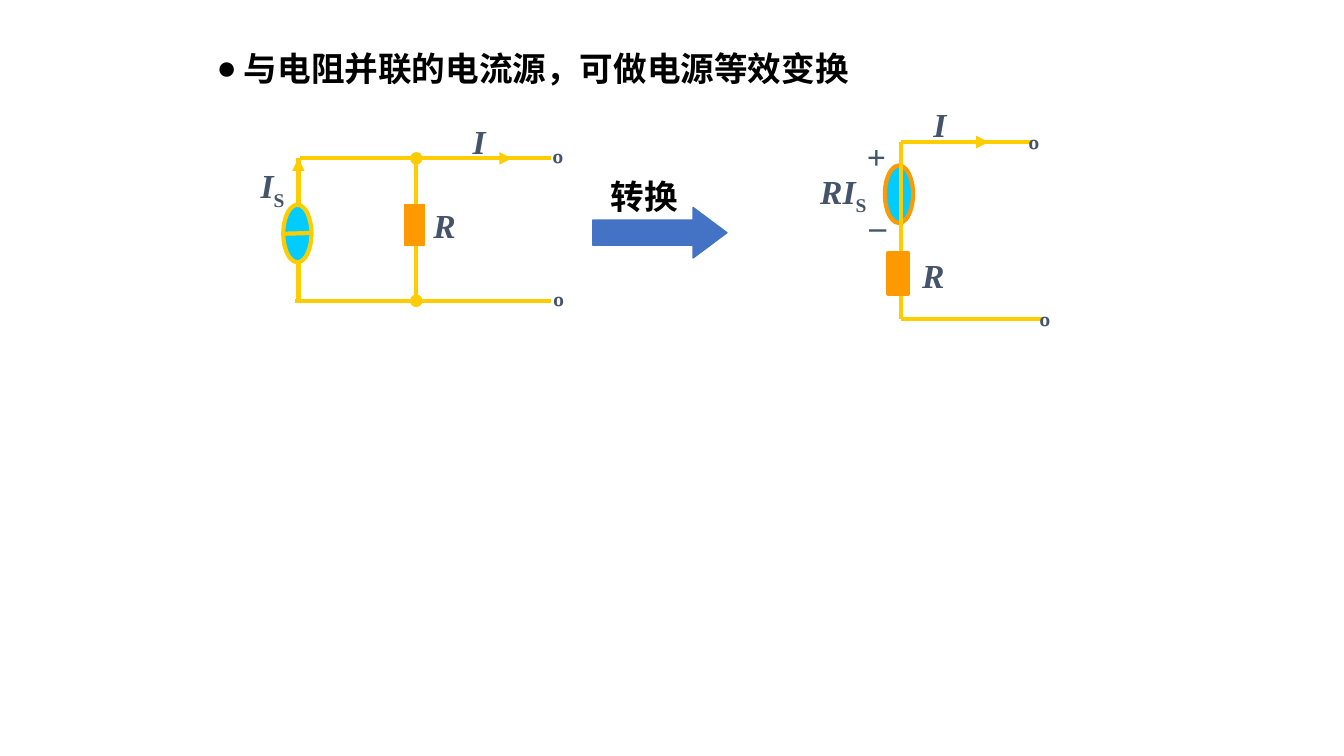
from dataclasses import dataclass

from lxml.etree import SubElement
from pptx import Presentation
from pptx.dml.color import RGBColor as RGB
from pptx.enum.shapes import MSO_CONNECTOR as Link, MSO_SHAPE as Preset
from pptx.enum.text import MSO_ANCHOR as Anchor, MSO_AUTO_SIZE as Fit, PP_ALIGN as Align
from pptx.oxml.ns import qn
from pptx.util import Cm, Pt


@dataclass(frozen=True)
class Theme:
    wire: RGB = RGB(0xFF, 0xCC, 0x00)
    source: RGB = RGB(0x00, 0xCC, 0xFF)
    resistor: RGB = RGB(0xFF, 0x99, 0x00)
    arrow: RGB = RGB(0x44, 0x72, 0xC4)
    symbol: RGB = RGB(0x44, 0x54, 0x6A)
    black: RGB = RGB(0x00, 0x00, 0x00)
    latin: str = "Times New Roman"
    chinese: str = "Noto Sans CJK SC"
    size: Pt = Pt(24)
    wire_width: Pt = Pt(3)
    thin_width: Pt = Pt(1)


theme = Theme()


def add_wire(circuit, x1, y1, x2, y2, head=None, tail=None):
    wire = circuit.shapes.add_connector(Link.STRAIGHT, Cm(x1), Cm(y1), Cm(x2), Cm(y2))
    wire.line.color.rgb = theme.wire
    wire.line.width = theme.wire_width
    for end, mark in (("a:headEnd", head), ("a:tailEnd", tail)):
        if mark:
            SubElement(wire.line._get_or_add_ln(), qn(end), type=mark)
    SubElement(wire._element.spPr, qn("a:effectLst"))


def add_part(circuit, preset, box, fill, outline, width):
    part = circuit.shapes.add_shape(preset, *map(Cm, box))
    part.shadow.inherit = False
    part.fill.solid()
    part.fill.fore_color.rgb = fill
    part.line.color.rgb = outline
    part.line.width = width
    return part


deck = Presentation()
deck.slide_width, deck.slide_height = Cm(33.87), Cm(19.05)
slide = deck.slides.add_slide(deck.slide_layouts[6])

heading = slide.shapes.add_textbox(Cm(5.21), Cm(1.09), Cm(16.89), Cm(1.27)).text_frame
heading.word_wrap = True
heading.auto_size = Fit.SHAPE_TO_FIT_TEXT
statement = heading.paragraphs[0]
statement.text = "与电阻并联的电流源，可做电源等效变换"
statement.font.size = theme.size
bullet_format = statement._p.get_or_add_pPr()
bullet_format.set("marL", str(Cm(0.69)))
bullet_format.set("indent", str(Cm(-0.69)))
bullet_font = SubElement(bullet_format, qn("a:buFont"), typeface=theme.latin)
bullet = SubElement(bullet_format, qn("a:buChar"), char="●")
bullet_format.insert(0, bullet_font)
bullet_format.insert(1, bullet)
statement_run = statement.runs[0]
statement_run.font.size = theme.size
statement_run.font.bold = True
statement_run.font.name = theme.chinese
statement_run.font.color.rgb = theme.black
SubElement(statement_run._r.get_or_add_rPr(), qn("a:ea"), typeface=theme.chinese)

parallel = slide.shapes.add_group_shape()
top, bottom, source_x, branch_x, terminal_x = 3.99, 7.58, 7.52, 10.49, 13.89
add_wire(parallel, 7.57, top, terminal_x, top)
add_wire(parallel, 7.44, bottom, terminal_x, bottom)
add_wire(parallel, source_x, top, source_x, bottom)
add_part(parallel, Preset.OVAL, (7.14, 5.16, 0.71, 1.45),
         theme.source, theme.wire, theme.wire_width)
add_wire(parallel, 7.14, 5.89, 7.87, 5.87)
add_wire(parallel, source_x, 5.03, source_x, top, tail="triangle")
add_wire(parallel, branch_x, bottom, branch_x, top, head="oval", tail="oval")
add_part(parallel, Preset.RECTANGLE, (10.19, 5.16, 0.51, 1.02),
         theme.resistor, theme.resistor, theme.thin_width)
add_wire(parallel, 10.44, top, 12.9, top, tail="triangle")

conversion = slide.shapes.add_group_shape()
conversion_arrow = add_part(conversion, Preset.RIGHT_ARROW, (14.94, 5.23, 3.38, 1.27),
                            theme.arrow, theme.arrow, theme.thin_width)
conversion_arrow.adjustments[0] = 0.5
conversion_arrow.adjustments[1] = 0.67

series = slide.shapes.add_group_shape()
top, bottom, branch_x = 3.58, 8.03, 22.71
add_part(series, Preset.OVAL, (22.3, 4.17, 0.71, 1.45),
         theme.source, theme.resistor, theme.wire_width)
add_wire(series, branch_x, top, branch_x, bottom)
add_wire(series, branch_x, top, 26.01, top)
add_wire(series, branch_x, bottom, 26.29, bottom)
add_wire(series, branch_x, top, 24.92, top, tail="triangle")
add_part(series, Preset.RECTANGLE, (22.38, 6.38, 0.51, 1.02),
         theme.resistor, theme.resistor, theme.wire_width)

caption = (theme.black, False, Align.LEFT, Anchor.TOP)
quantity = (theme.symbol, True, Align.LEFT, Anchor.TOP)
mark = (theme.symbol, False, Align.CENTER, Anchor.MIDDLE)
labels = [
    (parallel, 11.66, 2.92, 1.24, "I", "", quantity),
    (parallel, 10.67, 5.03, 1.12, "R", "", quantity),
    (parallel, 6.32, 4.04, 1.5, "I", "S", quantity),
    (parallel, 13.67, 3.48, 0.61, "º", "", mark),
    (parallel, 13.69, 7.09, 0.61, "º", "", mark),
    (conversion, 15.14, 4.32, 2.34, "转换", "", caption),
    (series, 21.59, 3.3, 0.99, "+", "", mark),
    (series, 21.51, 4.75, 1.22, "_", "", mark),
    (series, 20.42, 4.17, 2.26, "RI", "S", quantity),
    (series, 23.27, 2.49, 1.37, "I", "", quantity),
    (series, 22.99, 6.3, 4.24, "R", "", quantity),
    (series, 25.65, 3.12, 0.81, "º", "", mark),
    (series, 25.93, 7.57, 0.81, "º", "", mark),
]
for circuit, left, upper, width, symbol, subscript, style in labels:
    color, italic, align, anchor = style
    frame = circuit.shapes.add_textbox(Cm(left), Cm(upper), Cm(width), Cm(1.27)).text_frame
    frame.word_wrap = symbol != "+"
    frame.auto_size = Fit.SHAPE_TO_FIT_TEXT
    frame.vertical_anchor = anchor
    line = frame.paragraphs[0]
    line.text = symbol
    line.alignment = align
    if subscript:
        line.add_run().text = subscript
    for position, run in enumerate(line.runs):
        run.font.size = theme.size
        run.font.bold = True
        run.font.italic = italic and position == 0
        run.font.name = theme.latin
        run.font.color.rgb = color
        run_format = run._r.get_or_add_rPr()
        SubElement(run_format, qn("a:ea"), typeface=theme.chinese)
        if position:
            run_format.set("baseline", "-25000")

deck.save("out.pptx")
